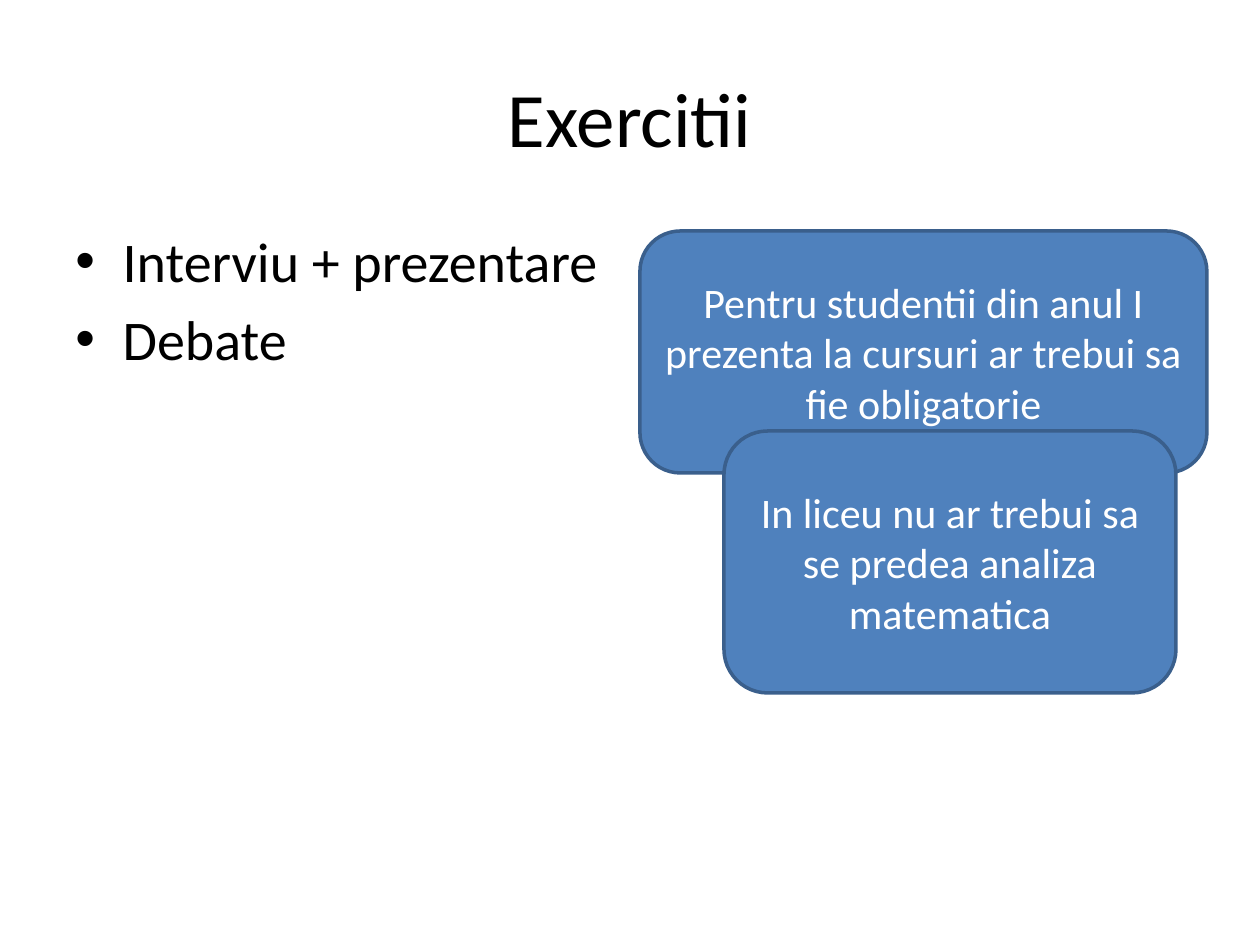
"""Build the exercises slide."""
import pptx
import pptx.util
import pptx.dml.color
import pptx.enum.shapes
import pptx.enum.text
import pptx.oxml
import pptx.oxml.ns

SCALE = 914400 // 126
RGB = pptx.dml.color.RGBColor
BLACK = RGB(0x00, 0x00, 0x00)
WHITE = RGB(0xFF, 0xFF, 0xFF)
BLUE = RGB(0x4F, 0x81, 0xBD)
EDGE = RGB(0x3A, 0x5F, 0x8C)
ALIGN = pptx.enum.text.PP_ALIGN
ANCHOR = pptx.enum.text.MSO_ANCHOR


def emu(box):
    """Turn pixel lengths into EMU."""
    return [pptx.util.Emu(n * SCALE) for n in box]


def write(frame, lines, size, color, align, anchor):
    """Fill a text frame with styled paragraphs and return them."""
    frame.word_wrap = True
    frame.vertical_anchor = anchor
    frame.text = "\n".join(lines)
    for para in frame.paragraphs:
        para.alignment = align
        para.font.name = "Calibri"
        para.font.size = pptx.util.Pt(size)
        para.font.color.rgb = color
    return frame.paragraphs


def title(slide, box, text):
    """Place the centred title."""
    frame = slide.shapes.add_textbox(*emu(box)).text_frame
    write(frame, [text], 44, BLACK, ALIGN.CENTER, ANCHOR.MIDDLE)


def bullets(slide, box, lines):
    """Place the bulleted list."""
    frame = slide.shapes.add_textbox(*emu(box)).text_frame
    for para in write(frame, lines, 32, BLACK, ALIGN.LEFT, ANCHOR.TOP):
        para.space_before = pptx.util.Pt(6.4)
        props = para._p.get_or_add_pPr()
        props.set("marL", "342900")
        props.set("indent", "-342900")
        ns = pptx.oxml.ns.nsdecls("a")
        for tag in ('buFont {} typeface="Arial"', 'buChar {} char="•"'):
            mark = pptx.oxml.parse_xml("<a:" + tag.format(ns) + "/>")
            props.append(mark)
            props.remove(mark)
            props.insert_element_before(mark, "a:buChar", "a:tabLst", "a:defRPr", "a:extLst")


def card(slide, box, text):
    """Place a rounded card with centred text."""
    kind = pptx.enum.shapes.MSO_SHAPE.ROUNDED_RECTANGLE
    shape = slide.shapes.add_shape(kind, *emu(box))
    shape.shadow.inherit = False
    shape.fill.solid()
    shape.fill.fore_color.rgb = BLUE
    shape.line.color.rgb = EDGE
    shape.line.width = pptx.util.Pt(2)
    write(shape.text_frame, [text], 24, WHITE, ALIGN.CENTER, ANCHOR.MIDDLE)


def main():
    """Build and save the deck."""
    deck = pptx.Presentation()
    deck.slide_width, deck.slide_height = emu((1260, 945))
    slide = deck.slides.add_slide(deck.slide_layouts[6])
    title(slide, (63, 38, 1134, 157), "Exercitii")
    bullets(slide, (63, 220, 1134, 624), ["Interviu + prezentare", "Debate"])
    cards = [
        ((640, 231, 567, 242), "Pentru studentii din anul I prezenta la cursuri "
                               "ar trebui sa fie obligatorie"),
        ((724, 431, 452, 262), "In liceu nu ar trebui sa se predea analiza matematica"),
    ]
    for box, text in cards:
        card(slide, box, text)
    deck.save("out.pptx")


main()
